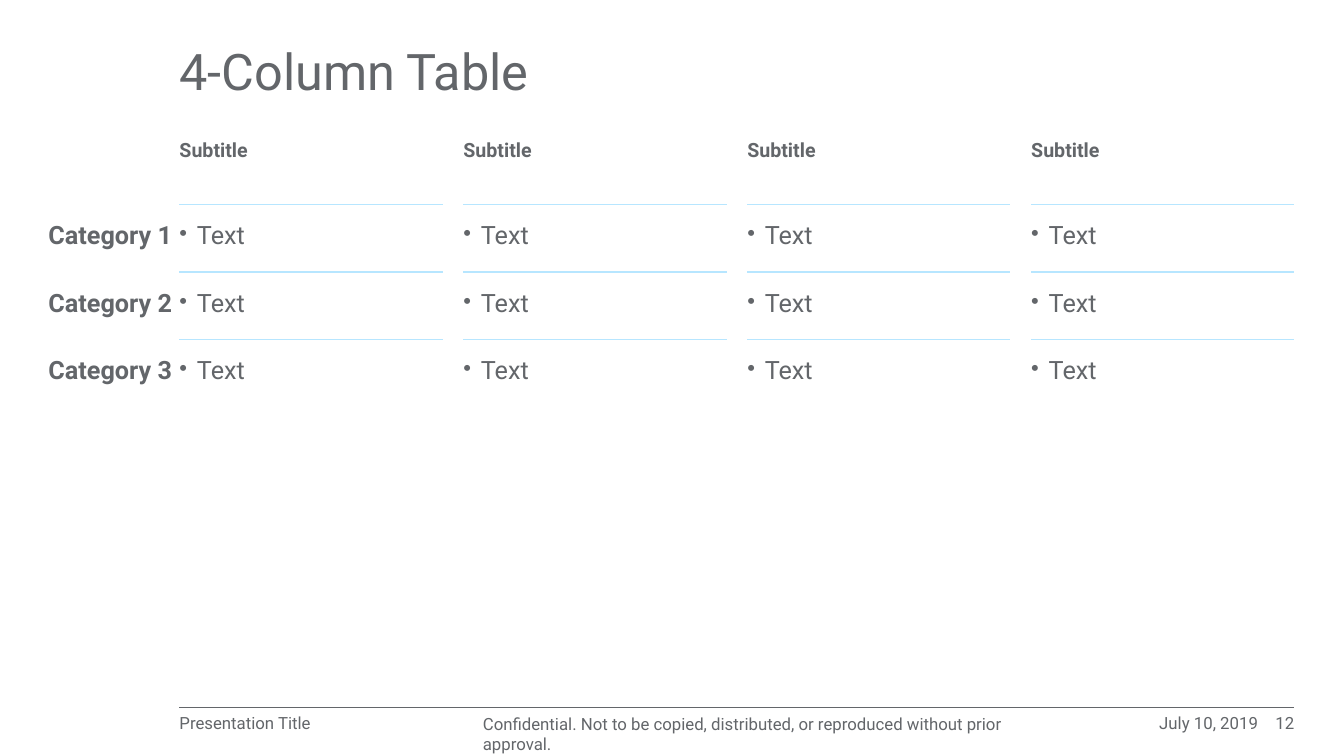
from lxml import etree
from pptx import Presentation
from pptx.dml.color import RGBColor
from pptx.enum.shapes import MSO_CONNECTOR
from pptx.enum.text import MSO_ANCHOR, PP_ALIGN
from pptx.oxml.ns import qn
from pptx.util import Pt

LEFT, RIGHT = PP_ALIGN.LEFT, PP_ALIGN.RIGHT
TOP, MIDDLE, BOTTOM = MSO_ANCHOR.TOP, MSO_ANCHOR.MIDDLE, MSO_ANCHOR.BOTTOM
STRAIGHT = MSO_CONNECTOR.STRAIGHT

FONT = "Roboto"
GREY = "63666A"
BLUE = "B7E6FF"

CATEGORIES = ["Category 1", "Category 2", "Category 3"]
SUBTITLES = ["Subtitle"] * 4
CATEGORY_WIDTH, COLUMN_WIDTH, GAP = 93.6, 188, 14.8
PITCH = COLUMN_WIDTH + GAP
ROW_HEIGHT = 43.2


def color(value):
    return RGBColor.from_string(value)


def style(paragraph, size, bold=False):
    for run in paragraph.runs:
        run.font.name = FONT
        run.font.size = Pt(size)
        run.font.bold = bold
        run.font.color.rgb = color(GREY)


def add_text(slide, text, box, size, bold=False, align=LEFT, anchor=TOP, spacing=0.99):
    frame = slide.shapes.add_textbox(*map(Pt, box)).text_frame
    frame.word_wrap = True
    frame.margin_left = frame.margin_top = frame.margin_right = frame.margin_bottom = 0
    frame.vertical_anchor = anchor
    frame.text = text
    paragraph = frame.paragraphs[0]
    paragraph.alignment = align
    paragraph.line_spacing = spacing
    style(paragraph, size, bold)


def add_bullet(paragraph):
    properties = paragraph._p.get_or_add_pPr()
    properties.set("marL", str(Pt(12.5)))
    properties.set("indent", str(-Pt(12.5)))
    etree.SubElement(properties, qn("a:buSzPct"), val="91000")
    etree.SubElement(properties, qn("a:buChar"), char="•")


def set_borders(cell, ruled_sides):
    properties = cell._tc.get_or_add_tcPr()
    for side in ("lnL", "lnR", "lnT", "lnB"):
        ruled = side in ruled_sides
        border = etree.SubElement(properties, qn(f"a:{side}"), w=str(Pt(1.5) if ruled else 0))
        if ruled:
            fill = etree.SubElement(border, qn("a:solidFill"))
            etree.SubElement(fill, qn("a:srgbClr"), val=BLUE)
        else:
            etree.SubElement(border, qn("a:noFill"))


def add_subtitles(slide, left, top, height):
    for index, subtitle in enumerate(SUBTITLES):
        add_text(slide, subtitle, (left + index * PITCH, top, COLUMN_WIDTH, height), 14,
                 bold=True, anchor=BOTTOM, spacing=0.9 if index else 0.99)


def add_category_table(slide, left, top):
    widths = [CATEGORY_WIDTH] + [COLUMN_WIDTH, GAP] * (len(SUBTITLES) - 1) + [COLUMN_WIDTH]
    row_count = len(CATEGORIES)
    table = slide.shapes.add_table(row_count, len(widths), Pt(left), Pt(top),
                                   Pt(sum(widths)), Pt(ROW_HEIGHT * row_count)).table
    table.first_row = table.horz_banding = False
    for column, width in zip(table.columns, widths):
        column.width = Pt(width)
    for row, category in enumerate(CATEGORIES):
        for column in range(len(widths)):
            cell = table.cell(row, column)
            is_text = column % 2 == 1
            ruled_sides = ()
            if is_text:
                ruled_sides = ("lnT", "lnB") if row < row_count - 1 else ("lnT",)
            set_borders(cell, ruled_sides)
            cell.fill.background()
            cell.margin_left = cell.margin_right = 0
            if column == 0 or is_text:
                cell.margin_top, cell.margin_bottom = Pt(12.24), Pt(14.4)
                cell.text = "Text" if is_text else category
                paragraph = cell.text_frame.paragraphs[0]
                style(paragraph, 18, bold=not is_text)
                if is_text:
                    add_bullet(paragraph)


def add_footer(slide, left, top, width):
    right = left + width
    rule = slide.shapes.add_connector(STRAIGHT, Pt(left), Pt(top), Pt(right), Pt(top))
    rule.line.color.rgb = color(GREY)
    rule.line.width = Pt(0.25)
    etree.SubElement(rule._element.spPr, qn("a:effectLst"))
    text_top, height = top + 5, 14.4
    add_text(slide, "Presentation Title", (left, text_top, 211.7, height), 12)
    add_text(slide, "Confidential. Not to be copied, distributed, or reproduced without prior approval.",
             (left + 216.7, text_top, 406, height), 12, spacing=1)
    add_text(slide, "July 10, 2019", (right - 173.5, text_top, 147.6, height), 12, align=RIGHT)
    add_text(slide, "12", (right - 25.9, text_top, 25.9, height), 12, align=RIGHT)


def main():
    presentation = Presentation()
    presentation.slide_width, presentation.slide_height = Pt(960), Pt(540)
    slide = presentation.slides.add_slide(presentation.slide_layouts[6])
    left = 128.2
    add_text(slide, "4-Column Table", (left, 17.3, 708.5, 72), 36, anchor=MIDDLE, spacing=0.9)
    add_subtitles(slide, left, 89.3, 26.6)
    add_category_table(slide, left - CATEGORY_WIDTH, 146)
    add_footer(slide, left, 505, 796.3)
    presentation.save("out.pptx")


if __name__ == "__main__":
    main()
